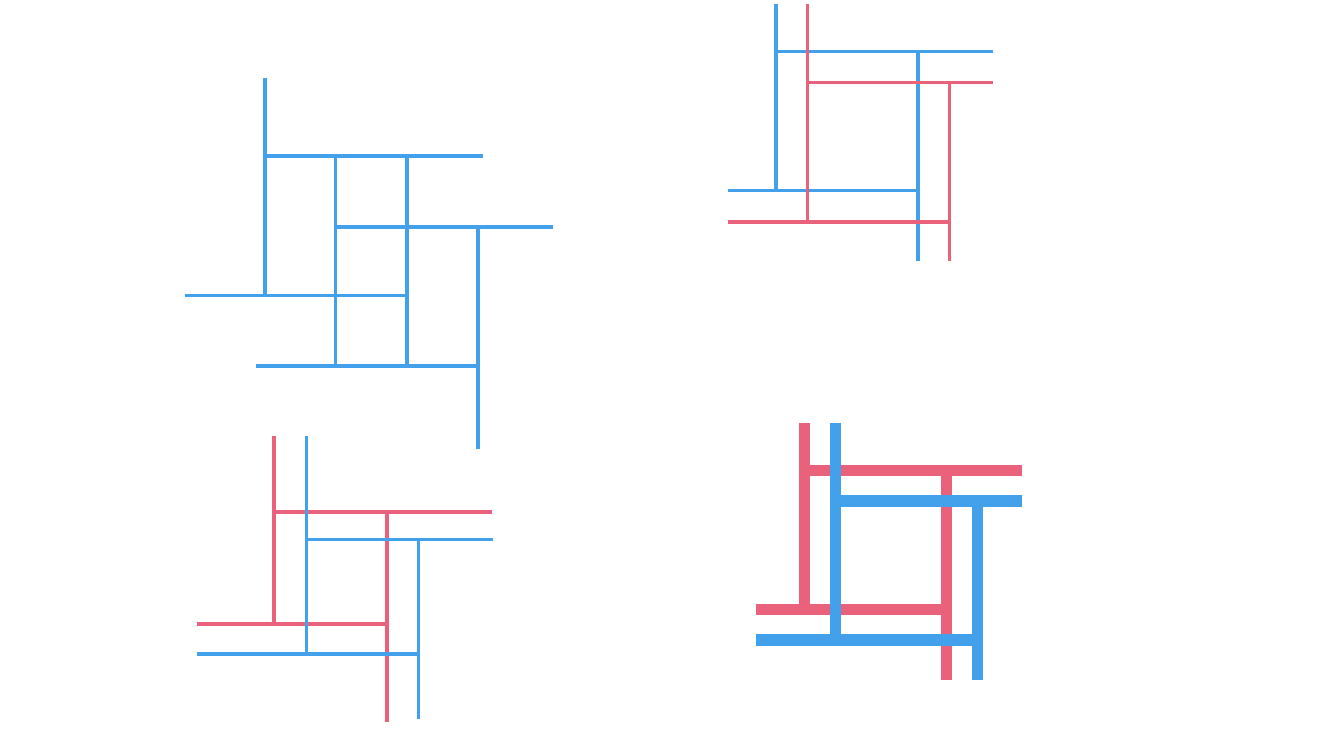
import pptx
import pptx.dml.color
import pptx.enum.shapes
import pptx.oxml.ns
import pptx.util
from lxml import etree

Pt = pptx.util.Pt
BLUE, PINK = "42A1EA", "E9617B"
THIN, THICK = 2.5, 8


def rgb(value):
    return pptx.dml.color.RGBColor.from_string(value)


class Canvas:
    """Holds the line style and the current slide; lengths in points."""

    def __init__(self, s):
        self.s = s
        self.color, self.width = BLUE, THIN

    def style(self, color, width):
        self.color, self.width = color, width

    def line(self, x1, y1, x2, y2):
        c = self.s.shapes.add_connector(
            pptx.enum.shapes.MSO_CONNECTOR.STRAIGHT,
            Pt(x1), Pt(y1), Pt(x2), Pt(y2))
        c.line.color.rgb = rgb(self.color)
        c.line.width = Pt(self.width)
        # An empty effect list removes the theme shadow
        etree.SubElement(c._element.spPr, pptx.oxml.ns.qn("a:effectLst"))

    def pinwheel(self, box, reach):
        """Four lines round a box, each running on past one corner."""
        left, top, right, bottom = box
        far_left, far_top, far_right, far_bottom = reach
        self.line(left, far_top, left, bottom)
        self.line(far_right, top, left, top)
        self.line(right, far_bottom, right, top)
        self.line(right, bottom, far_left, bottom)


# Pinwheels: colour, width, inner box and reach (left, top, right, bottom)
TOP_RIGHT_REACH = (519.8, 2.9, 709.2, 186.5)
BOTTOM_RIGHT_REACH = (540, 302.4, 730.1, 486)
PINWHEELS = [
    # Top left
    (BLUE, THIN, (189.4, 111.6, 290.9, 211), (132.5, 55.4, 344.9, 261.4)),
    (BLUE, THIN, (239.8, 162, 341.3, 261.4), (182.9, 111.6, 395.3, 320.4)),
    # Top right
    (BLUE, THIN, (554.4, 36.7, 655.9, 136.1), TOP_RIGHT_REACH),
    (PINK, THIN, (576.7, 59, 678.2, 158.4), TOP_RIGHT_REACH),
    # Bottom right
    (PINK, THICK, (574.6, 336.2, 676.1, 435.6), BOTTOM_RIGHT_REACH),
    (BLUE, THICK, (596.9, 357.8, 698.4, 457.2), BOTTOM_RIGHT_REACH),
    # Bottom left
    (PINK, THIN, (195.8, 365.8, 276.5, 445.7), (140.4, 311.8, 351.4, 515.5)),
    (BLUE, THIN, (218.9, 385.2, 298.8, 467.3), (140.4, 311.8, 352.1, 513.4)),
]


def main():
    prs = pptx.Presentation()
    prs.slide_width, prs.slide_height = Pt(960), Pt(540)
    canvas = Canvas(prs.slides.add_slide(prs.slide_layouts[6]))
    for color, width, box, reach in PINWHEELS:
        canvas.style(color, width)
        canvas.pinwheel(box, reach)
    prs.save("out.pptx")


if __name__ == "__main__":
    main()
